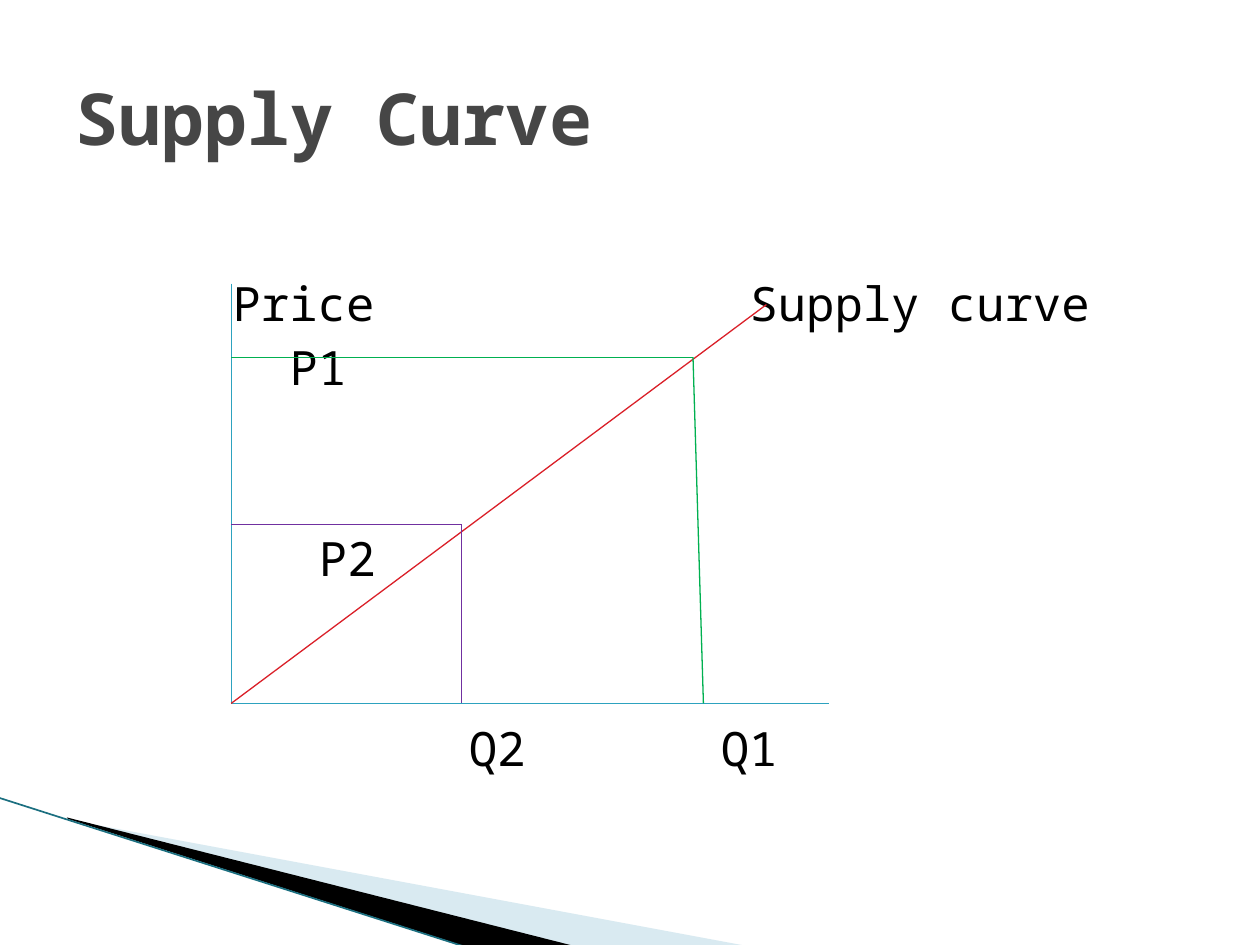
"""Build the supply curve slide."""
from dataclasses import dataclass

from lxml import etree
from pptx import Presentation
from pptx import util as u
from pptx.dml import color
from pptx.enum import shapes, text
from pptx.oxml import ns

FONT = "Noto Sans Mono"
COLORS = {
    "title": "464646", "text": "000000", "axis": "2DA2BF", "supply": "DA1F28",
    "low": "7030A0", "high": "00B050", "pale": "A0CBDC", "dark": "000000", "edge": "1B6F80",
}
LEFT, BASE, AXIS_TOP, AXIS_RIGHT = 4.66, 14.18, 5.72, 16.71
LOW_X, LOW_Y, HIGH_X, HIGH_Y = 9.31, 10.58, 13.97, 7.2


@dataclass
class Line:
    start: tuple[float, float]
    end: tuple[float, float]
    tone: str
    width: float = 0.75


@dataclass
class Wedge:
    points: list[tuple[float, float]]
    tone: str
    opacity: int = 100


@dataclass
class Row:
    labels: list[str]
    margin: float
    before: float = 0
    step: float = 2.54


WEDGES = [
    Wedge([(1.4, 16.53), (15.11, 19.08), (11.58, 19.08), (1.4, 16.51)], "pale", 40),
    Wedge([(1.35, 16.48), (11.61, 19.08), (9.45, 19.1), (1.37, 16.51)], "dark"),
]
LINES = [
    Line((-0.03, 16.08), (9.42, 19.1), "edge", 0.95),
    Line((LEFT, AXIS_TOP), (LEFT, BASE), "axis"),
    Line((LEFT, BASE), (AXIS_RIGHT, BASE), "axis"),
    Line((LEFT, BASE), (15.45, 6.14), "supply"),
    Line((LEFT, LOW_Y), (LOW_X, LOW_Y), "low"),
    Line((LOW_X, LOW_Y), (LOW_X, BASE), "low"),
    Line((LEFT, HIGH_Y), (HIGH_X, HIGH_Y), "high"),
    Line((HIGH_X, HIGH_Y), (14.18, BASE), "high"),
]
ROWS = [
    Row(["Price", "Supply curve"], 2.9, step=10.42),
    Row(["P1"], 4.05, before=4),
    Row(["P2"], 4.64, before=76.6),
    Row(["Q2", "Q1"], 7.66, before=76.6, step=5.08),
]


def rgb(tone: str) -> color.RGBColor:
    """Look up a named colour."""
    return color.RGBColor.from_string(COLORS[tone])


def write(para, words: str, *, size: float, tone: str, bold: bool = False) -> None:
    """Add formatted words to a paragraph."""
    para.alignment = text.PP_ALIGN.LEFT
    span = para.add_run()
    span.text = words
    span.font.name = FONT
    span.font.size = u.Pt(size)
    span.font.bold = bold
    span.font.color.rgb = rgb(tone)


def place(box, left: float, top: float, width: float, height: float) -> None:
    """Move and size a placeholder."""
    box.left, box.top, box.width, box.height = map(u.Cm, (left, top, width, height))
    box.text_frame.auto_size = text.MSO_AUTO_SIZE.NONE
    box.text_frame.word_wrap = True


def indent(para, margin: float, step: float) -> None:
    """Set the left margin and tab step of an unbulleted paragraph."""
    properties = para._p.get_or_add_pPr()
    properties.set("marL", str(int(u.Cm(margin))))
    properties.set("indent", "0")
    properties.set("defTabSz", str(int(u.Cm(step))))
    etree.SubElement(properties, ns.qn("a:buNone"))


def fill_body(frame, rows: list[Row]) -> None:
    """Write the chart labels as indented paragraphs."""
    frame.vertical_anchor = text.MSO_ANCHOR.TOP
    frame.margin_left, frame.margin_top = u.Cm(0.52), u.Cm(1.42)
    for index, row in enumerate(rows):
        para = frame.add_paragraph() if index else frame.paragraphs[0]
        para.line_spacing = 1.0
        para.space_before = u.Pt(row.before)
        indent(para, row.margin, row.step)
        write(para, "\t".join(row.labels), size=27, tone="text")


def draw_wedge(slide, wedge: Wedge) -> None:
    """Draw one filled corner wedge."""
    first, *rest = [(u.Cm(x), u.Cm(y)) for x, y in wedge.points]
    builder = slide.shapes.build_freeform(*first)
    builder.add_line_segments(rest, close=True)
    shape = builder.convert_to_shape()
    shape.shadow.inherit = False
    shape.line.fill.background()
    shape.fill.solid()
    shape.fill.fore_color.rgb = rgb(wedge.tone)
    if wedge.opacity < 100:
        tint = shape.element.spPr.find(f".//{ns.qn('a:srgbClr')}")
        etree.SubElement(tint, ns.qn("a:alpha"), val=str(wedge.opacity * 1000))


def draw_line(slide, line: Line) -> None:
    """Draw one straight line."""
    ends = map(u.Cm, (*line.start, *line.end))
    connector = slide.shapes.add_connector(shapes.MSO_CONNECTOR.STRAIGHT, *ends)
    connector.line.color.rgb = rgb(line.tone)
    connector.line.width = u.Pt(line.width)
    etree.SubElement(connector.element.spPr, ns.qn("a:effectLst"))


def main() -> None:
    """Build and save the deck."""
    deck = Presentation()
    deck.slide_width, deck.slide_height = u.Cm(25.4), u.Cm(19.05)
    page = deck.slides.add_slide(deck.slide_layouts[1])
    title, body = page.shapes.title, page.placeholders[1]
    place(title, 1.27, 0.76, 22.86, 3.18)
    title.text_frame.vertical_anchor = text.MSO_ANCHOR.MIDDLE
    write(title.text_frame.paragraphs[0], "Supply Curve", size=41, tone="title", bold=True)
    place(body, 1.27, 4.11, 22.86, 12.57)
    fill_body(body.text_frame, ROWS)
    for wedge in WEDGES:
        draw_wedge(page, wedge)
    for line in LINES:
        draw_line(page, line)
    deck.save("out.pptx")


if __name__ == "__main__":
    main()
